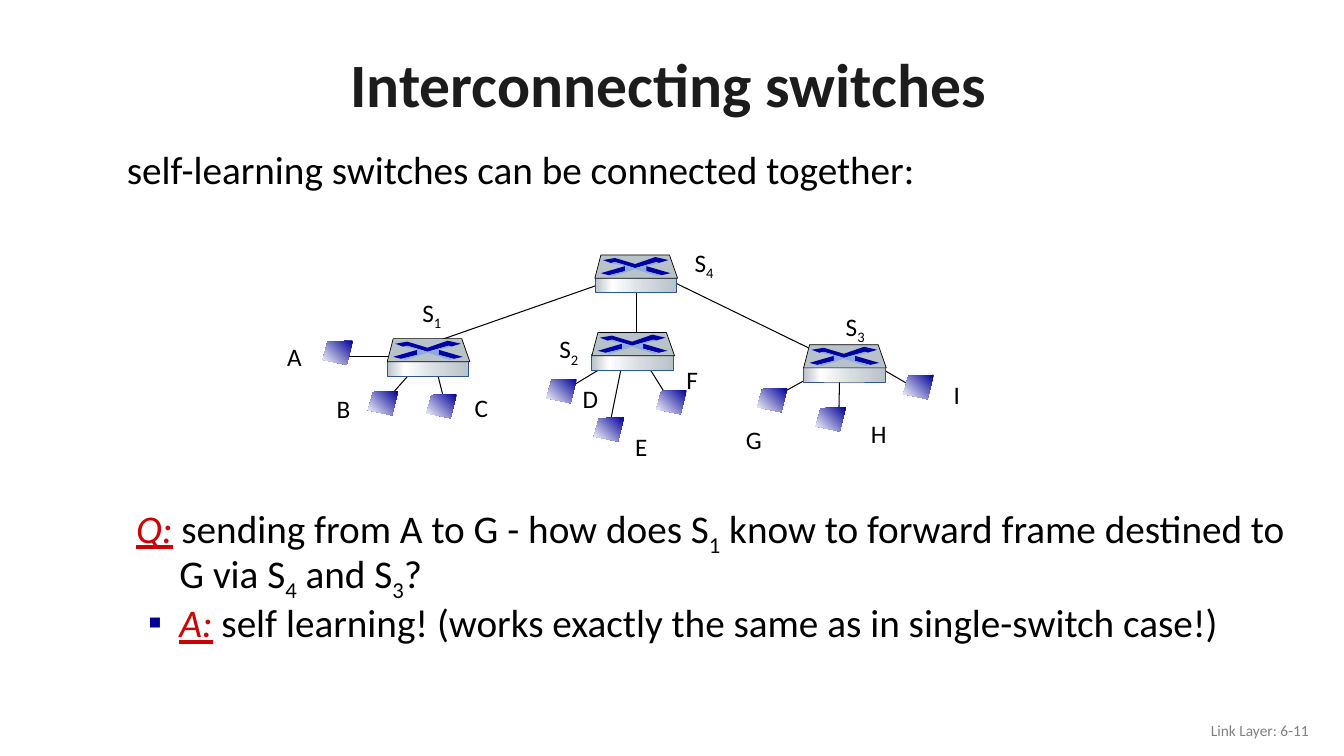
import pptx
import pptx.dml.color
import pptx.enum.shapes
import pptx.enum.text
import pptx.oxml
import pptx.oxml.ns
import pptx.util
from lxml import etree

Inches = pptx.util.Inches
Pt = pptx.util.Pt
Align = pptx.enum.text.PP_ALIGN
Anchor = pptx.enum.text.MSO_ANCHOR
qn = pptx.oxml.ns.qn

FONT = "Calibri"
BLACK, RED, NAVY, ARROW = "000000", "CC0000", "000099", "0000A3"

# Points in inches from the top left of a host or switch
HOST = [(0.3, 0), (0.05, 0.01), (0, 0.19), (0.24, 0.24)]
LID = [(0, 0.23), (0.06, 0), (0.74, 0), (0.82, 0.23)]
TOP_ARROWS = [(0.6, 0.02), (0.73, 0.05), (0.63, 0.08), (0.61, 0.07), (0.4, 0.13),
              (0.2, 0.07), (0.16, 0.08), (0.08, 0.05), (0.2, 0.03), (0.4, 0.09)]
RIGHT_ARROW = [(0.51, 0.11), (0.75, 0.18), (0.66, 0.2), (0.51, 0.16)]
LEFT_ARROW = [(0.3, 0.11), (0.3, 0.16), (0.14, 0.2), (0.06, 0.18)]
CENTER = [(0.16, 0.08), (0.2, 0.07), (0.4, 0.13), (0.61, 0.07), (0.64, 0.08),
          (0.51, 0.11), (0.51, 0.16), (0.66, 0.2), (0.62, 0.21), (0.4, 0.14),
          (0.18, 0.21), (0.14, 0.2), (0.3, 0.16), (0.3, 0.11)]

# Name: position, label position, link start, link end, within the network
HOSTS = {
    "A": ((0.7, 1.38), (0.25, 1.34), (1.54, 1.54), (0.94, 1.54)),
    "B": ((1.15, 1.88), (0.74, 1.85), (1.66, 1.6), (1.36, 1.94)),
    "C": ((1.73, 1.91), (2.11, 1.84), (1.82, 1.63), (1.9, 1.95)),
    "D": ((2.92, 1.76), (3.18, 1.75), (3.57, 1.59), (3.19, 1.82)),
    "E": ((3.39, 2.14), (3.7, 2.23), (3.67, 1.61), (3.54, 2.25)),
    "F": ((4.01, 1.87), (4.21, 1.57), (3.87, 1.54), (4.12, 1.94)),
    "G": ((5.01, 1.85), (4.8, 2.16), (5.74, 1.63), (5.27, 1.89)),
    "H": ((5.59, 2.04), (6.04, 2.1), (5.83, 1.6), (5.82, 2.11)),
    "I": ((6.46, 1.72), (6.86, 1.71), (6.23, 1.65), (6.54, 1.83)),
}
SWITCHES = {
    "1": ((1.34, 1.36), (1.59, 0.9)),
    "2": ((3.37, 1.3), (2.95, 1.26)),
    "3": ((5.47, 1.42), (5.79, 1.04)),
    "4": ((3.4, 0.53), (4.29, 0.4)),
}
UPLINKS = [((3.48, 0.81), (1.82, 1.39)), ((3.81, 0.77), (3.81, 1.43)),
           ((4.08, 0.75), (5.62, 1.5))]


def color(value):
    return pptx.dml.color.RGBColor.from_string(value)


def move(shape, box):
    shape.left, shape.top, shape.width, shape.height = map(Inches, box)


def add_run(paragraph, text, size, fill=BLACK, bold=False, emphasis=False, underline=False,
            subscript=False):
    run = paragraph.add_run()
    run.text = text
    run.font.name, run.font.size = FONT, Pt(size)
    run.font.bold, run.font.italic, run.font.underline = bold, emphasis, underline
    run.font.color.rgb = color(fill)
    if subscript:
        run.font._element.set("baseline", "-25000")


def add_numbered_runs(paragraph, parts, size):
    """Sets every second part as a subscript."""
    for index, part in enumerate(parts):
        add_run(paragraph, part, size, subscript=index % 2 == 1)


def add_text_box(slide, box, anchor=Anchor.TOP):
    text_frame = slide.shapes.add_textbox(*map(Inches, box)).text_frame
    text_frame.word_wrap = True
    text_frame.vertical_anchor = anchor
    return text_frame.paragraphs[0]


def set_indent(paragraph, hanging, bullet=None):
    properties = paragraph._p.get_or_add_pPr()
    properties.set("marL", str(Inches(0.5)))
    properties.set("indent", str(-Inches(hanging)))
    if bullet is None:
        etree.SubElement(properties, qn("a:buNone"))
        return
    bullet_color = etree.SubElement(properties, qn("a:buClr"))
    etree.SubElement(bullet_color, qn("a:srgbClr"), val=NAVY)
    etree.SubElement(properties, qn("a:buFont"), typeface=FONT)
    etree.SubElement(properties, qn("a:buChar"), char=bullet)


def fill_gradient(shape, stops, angle):
    shape.fill.gradient()
    shape.fill.gradient_angle = angle
    stop_list = shape.fill._fill._gradFill.find(qn("a:gsLst"))
    for stop in list(stop_list):
        stop_list.remove(stop)
    for percent, value in stops:
        stop = etree.SubElement(stop_list, qn("a:gs"), pos=str(percent * 1000))
        etree.SubElement(stop, qn("a:srgbClr"), val=value)


def set_outline(shape, value=None):
    shape.shadow.inherit = False
    if value is None:
        shape.line.fill.background()
    else:
        shape.line.color.rgb = color(value)
        shape.line.width = Pt(0.5)


def add_polygon(shapes, left, top, points, outline=None):
    corners = [(Inches(left + x), Inches(top + y)) for x, y in points]
    builder = shapes.build_freeform(*corners[0])
    builder.add_line_segments(corners[1:], close=True)
    polygon = builder.convert_to_shape()
    set_outline(polygon, outline)
    return polygon


def add_link(slide, left, top, start, end):
    link = slide.shapes.add_connector(
        pptx.enum.shapes.MSO_CONNECTOR.STRAIGHT,
        Inches(left + start[0]), Inches(top + start[1]),
        Inches(left + end[0]), Inches(top + end[1]))
    link.line.color.rgb = color(BLACK)
    link.line.width = Pt(0.75)
    etree.SubElement(link._element.spPr, qn("a:effectLst"))


def add_host(slide, left, top):
    host = add_polygon(slide.shapes, left, top, HOST)
    fill_gradient(host, [(0, NAVY), (100, "FFFFFF")], 225)


def add_switch(slide, left, top):
    shapes = slide.shapes.add_group_shape().shapes
    front = shapes.add_shape(pptx.enum.shapes.MSO_SHAPE.RECTANGLE,
                             *map(Inches, (left, top + 0.22, 0.81, 0.15)))
    fill_gradient(front, [(0, "B8C2C9"), (21, "FFFFFF"), (60, "D6DCE0"), (100, "B8C2C9")], 0)
    set_outline(front, "325491")
    for points, fill, outline in [(LID, "B8C2C9", BLACK), (TOP_ARROWS, ARROW, None),
                                  (RIGHT_ARROW, ARROW, None), (LEFT_ARROW, "0000A8", None),
                                  (CENTER, "8FAADC", None)]:
        part = add_polygon(shapes, left, top, points, outline)
        part.fill.solid()
        part.fill.fore_color.rgb = color(fill)


def add_network(slide, left, top):
    for start, end in UPLINKS + [host[2:] for host in HOSTS.values()]:
        add_link(slide, left, top, start, end)
    for name, ((x, y), label, _, _) in HOSTS.items():
        add_host(slide, left + x, top + y)
        paragraph = add_text_box(slide, (left + label[0], top + label[1], 0.5, 0.4))
        add_run(paragraph, name, 18)
    for number, ((x, y), label) in SWITCHES.items():
        add_switch(slide, left + x, top + y)
        paragraph = add_text_box(slide, (left + label[0], top + label[1], 0.5, 0.4))
        add_numbered_runs(paragraph, ["S", number], 18)


def add_title(slide, box):
    title = slide.shapes.title
    move(title, box)
    title.text_frame.vertical_anchor = Anchor.MIDDLE
    paragraph = title.text_frame.paragraphs[0]
    paragraph.alignment = Align.CENTER
    paragraph.line_spacing = 0.9
    add_run(paragraph, "Interconnecting switches", 44, "1C1C1C", bold=True)


def add_question_and_answer(slide, box):
    body = slide.placeholders[1]
    move(body, box)
    text_frame = body.text_frame
    text_frame.auto_size = pptx.enum.text.MSO_AUTO_SIZE.NONE
    text_frame.vertical_anchor = Anchor.TOP
    question, answer = text_frame.paragraphs[0], text_frame.add_paragraph()
    for paragraph, mark, space in [(question, "Q:", 0), (answer, "A:", 5.6)]:
        paragraph.line_spacing = 0.85
        paragraph.space_before = Pt(space)
        add_run(paragraph, mark, 28, RED, emphasis=True, underline=True)
        add_run(paragraph, " ", 28, emphasis=True)
    set_indent(question, 0.43)
    set_indent(answer, 0.31, "▪")
    add_numbered_runs(question, ["sending from A to G - how does S", "1",
                                 " know to forward frame destined to G via S", "4",
                                 " and S", "3", "?"], 28)
    add_run(answer, "self learning! (works exactly the same as in single-switch case!)", 28)


def main():
    presentation = pptx.Presentation()
    presentation.slide_width, presentation.slide_height = Inches(13.33), Inches(7.5)
    slide = presentation.slides.add_slide(presentation.slide_layouts[1])
    add_title(slide, (0.88, 0.38, 11.5, 0.98))
    introduction = add_text_box(slide, (1.16, 1.46, 8.62, 0.75))
    introduction.line_spacing = 0.85
    add_run(introduction, "self-learning switches can be connected together:", 28)
    add_network(slide, 2.5, 2)
    add_question_and_answer(slide, (1.18, 4.98, 11.75, 1.83))
    footer = add_text_box(slide, (10.08, 7.05, 3, 0.4), Anchor.MIDDLE)
    footer.alignment = Align.RIGHT
    add_run(footer, "Link Layer: 6-11", 11, "808080")
    presentation.save("out.pptx")


if __name__ == "__main__":
    main()
